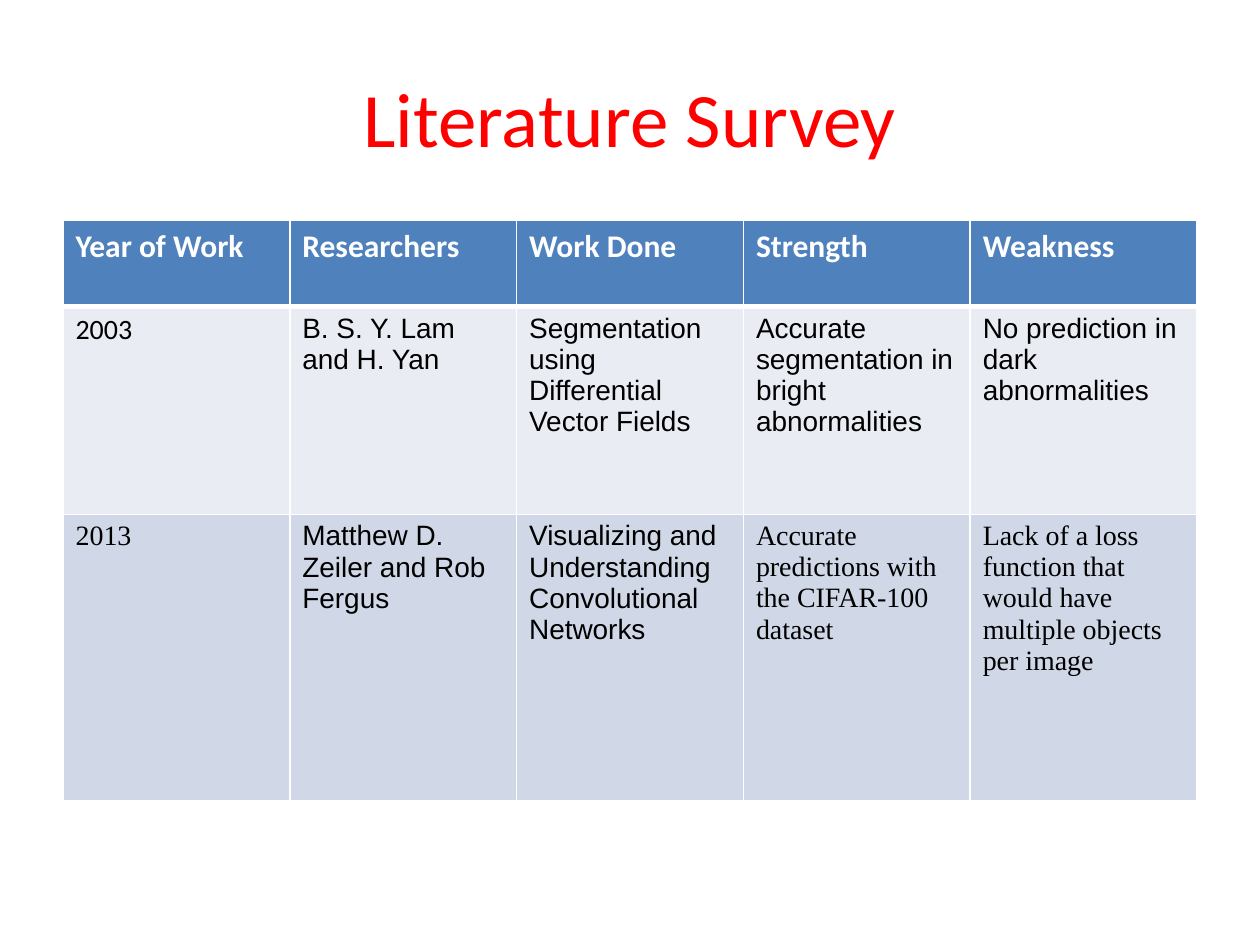
"""Build the literature survey slide."""
from lxml import etree
from pptx import Presentation
from pptx import util as u
from pptx.dml.color import RGBColor
from pptx.enum import text
from pptx.oxml import ns

SANS, BODY, SERIF = "Calibri", "Arial", "Times New Roman"
HEADS = ["Year of Work", "Researchers", "Work Done", "Strength", "Weakness"]
WORKS = [
    ["2003", "B. S. Y. Lam and H. Yan",
     "Segmentation using Differential Vector Fields",
     "Accurate segmentation in bright abnormalities",
     "No prediction in dark abnormalities"],
    ["2013", "Matthew D. Zeiler and Rob Fergus",
     "Visualizing and Understanding\nConvolutional Networks",
     "Accurate predictions with the CIFAR-100 dataset",
     "Lack of a loss function that would have multiple objects per image"],
]
FONTS = [[SANS] * 5,
         [SANS, BODY, BODY, BODY, BODY],
         [SERIF, BODY, BODY, SERIF, SERIF]]
FILLS = ["4F81BD", "E9ECF3", "D0D8E7"]
ROWS = [1.73, 4.19, 5.77]


def color(code):
    """Turn a hex string into a colour."""
    return RGBColor.from_string(code)


def style(para, face, size, code, bold=False):
    """Set the font of one paragraph."""
    font = para.font
    font.name, font.size, font.bold = face, u.Pt(size), bold
    font.color.rgb = color(code)


def place(item, box):
    """Move an item to a box of left, top, width and height in cm."""
    item.left, item.top, item.width, item.height = map(u.Cm, box)


def edge(cell, side, width):
    """Draw a white border on one side of a cell."""
    line = etree.SubElement(cell._tc.get_or_add_tcPr(), ns.qn(f"a:ln{side}"),
                            w=str(u.Pt(width)))
    fill = etree.SubElement(line, ns.qn("a:solidFill"))
    etree.SubElement(fill, ns.qn("a:srgbClr"), val="FFFFFF")


def add_title(slide, box):
    """Fill and format the title placeholder."""
    title = slide.shapes.title
    place(title, box)
    frame = title.text_frame
    frame.text = "Literature Survey"
    frame.vertical_anchor = text.MSO_ANCHOR.MIDDLE
    para = frame.paragraphs[0]
    para.alignment = text.PP_ALIGN.CENTER
    style(para, SANS, 44, "FF0000")


def add_survey(slide, box):
    """Add the survey table with equal columns."""
    data = [HEADS] + WORKS
    grid = slide.shapes.add_table(len(data), len(HEADS),
                                  *map(u.Cm, box)).table
    for col in grid.columns:
        col.width = u.Cm(box[2] / len(HEADS))
    for r, (words, faces) in enumerate(zip(data, FONTS)):
        grid.rows[r].height = u.Cm(ROWS[r])
        head = r == 0
        for c, (word, face) in enumerate(zip(words, faces)):
            cell = grid.cell(r, c)
            cell.text = word
            for para in cell.text_frame.paragraphs:
                style(para, face, 18 if head else 16,
                      "FFFFFF" if head else "000000", head)
            for side in "LRTB":
                thick = (r, side) in [(0, "B"), (1, "T")]
                edge(cell, side, 3 if thick else 0.96)
            cell.fill.solid()
            cell.fill.fore_color.rgb = color(FILLS[r])


def main():
    """Build and save the slide."""
    deck = Presentation()
    deck.slide_width, deck.slide_height = u.Cm(25.4), u.Cm(19.05)
    slide = deck.slides.add_slide(deck.slide_layouts[5])
    add_title(slide, (1.27, 0.76, 22.86, 3.18))
    add_survey(slide, (1.27, 4.45, 22.86, sum(ROWS)))
    deck.save("out.pptx")


if __name__ == "__main__":
    main()
